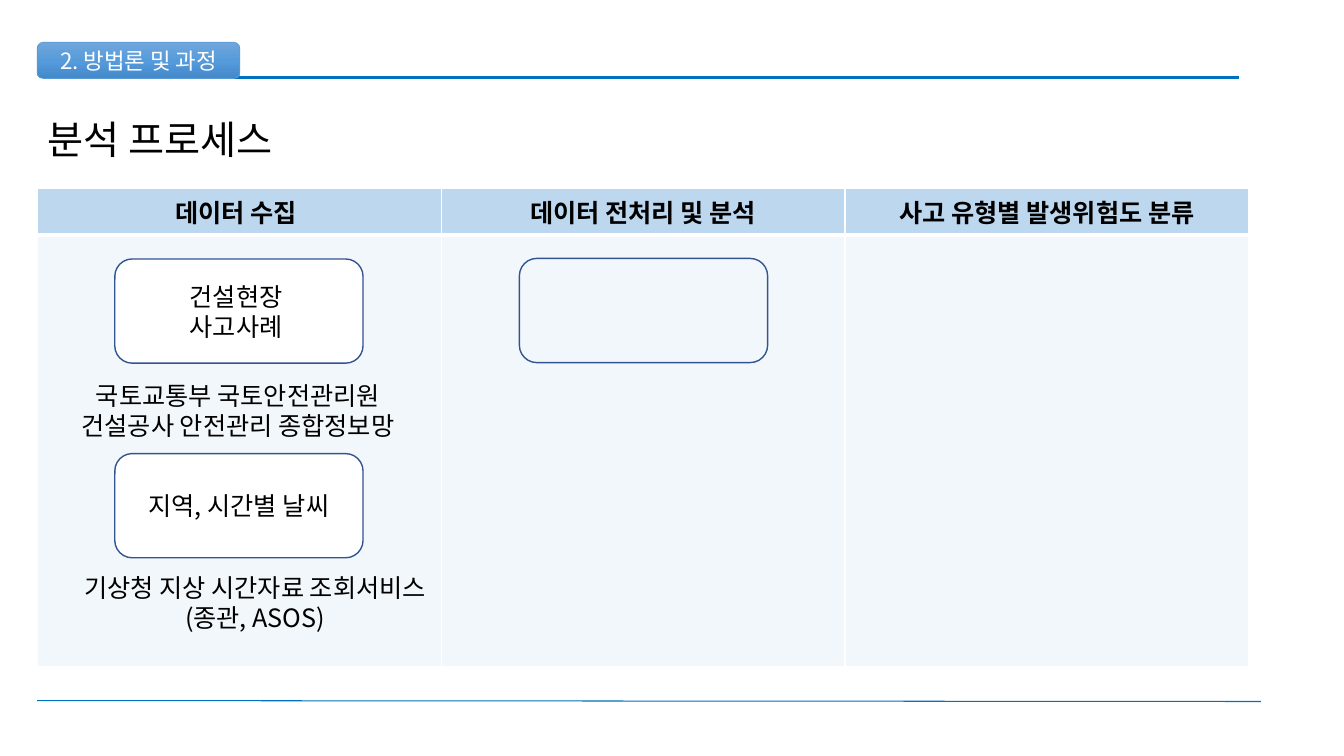
"""Build the analysis process slide with its three-stage table."""
import copy
import dataclasses

import lxml.etree
import pptx
import pptx.dml.color
import pptx.enum.shapes
import pptx.enum.text
import pptx.oxml
import pptx.oxml.ns
import pptx.util

Pt = pptx.util.Pt
ALIGN = pptx.enum.text.PP_ALIGN
ANCHOR = pptx.enum.text.MSO_ANCHOR
SHAPE = pptx.enum.shapes.MSO_SHAPE


@dataclasses.dataclass(frozen=True)
class Theme:
    font: str = "Noto Sans CJK KR"
    ink: str = "000000"
    white: str = "FFFFFF"
    rule: str = "0070C0"
    outline: str = "325491"
    tag_line: str = "5B9BD5"
    tag_gradient: tuple[str, ...] = ("71A6DB", "559BDB", "448ACA")
    header: str = "BDD7EE"
    body: str = "DEEBF7"
    body_alpha: int = 39
    tag_size: float = 16
    title_size: float = 28
    text_size: float = 18


@dataclasses.dataclass(frozen=True)
class Area:
    left: float
    top: float
    width: float
    height: float

    def lengths(self) -> tuple:
        return Pt(self.left), Pt(self.top), Pt(self.width), Pt(self.height)


@dataclasses.dataclass(frozen=True)
class Rule:
    start: tuple[float, float]
    end: tuple[float, float]
    weight: float


@dataclasses.dataclass(frozen=True)
class Card:
    area: Area
    lines: tuple[str, ...]
    fill: str | None


@dataclasses.dataclass(frozen=True)
class Caption:
    area: Area
    lines: tuple[str, ...]


THEME = Theme()
MARGIN = 26.6
CARD_WIDTH, CARD_HEIGHT = 177.3, 74.4
TITLE = Area(MARGIN, 78.5, 177, 41.2)
TAG = Area(MARGIN, 30.2, 144.7, 25.9)
TABLE = Area(MARGIN, 134.8, 865.5, 338.4)
HEADER_HEIGHT = 30.2
RULES = (
    Rule((31.7, 55.4), (885, 55.4), 1.5),
    Rule((MARGIN, 500.4), (900.7, 501.1), 0.75),
)
STAGES = ("데이터 수집 ", "데이터 전처리 및 분석", "사고 유형별 발생위험도 분류")
CARDS = (
    Card(Area(82, 185, CARD_WIDTH, CARD_HEIGHT), ("건설현장 ", "사고사례 "), THEME.white),
    Card(Area(82, 324, CARD_WIDTH, CARD_HEIGHT), ("지역, 시간별 날씨",), THEME.white),
    Card(Area(371, 184.6, CARD_WIDTH, CARD_HEIGHT), (), None),
)
CAPTIONS = (
    Caption(Area(38.2, 405.4, 288, 51), ("기상청 지상 시간자료 조회서비스", "(종관, ASOS)")),
    Caption(Area(38.2, 267.8, 263.5, 51), ("국토교통부 국토안전관리원", "건설공사 안전관리 종합정보망")),
)


def rgb(value: str) -> pptx.dml.color.RGBColor:
    return pptx.dml.color.RGBColor.from_string(value)


def write(frame, lines: tuple[str, ...], *, size: float = THEME.text_size,
          color: str = THEME.ink, bold: bool = False, align=ALIGN.CENTER,
          anchor=ANCHOR.TOP, wrap: bool = True) -> None:
    frame.word_wrap = wrap
    frame.vertical_anchor = anchor
    for index, line in enumerate(lines):
        para = frame.add_paragraph() if index else frame.paragraphs[0]
        para.alignment = align
        para.line_spacing = 1.0
        span = para.add_run()
        span.text = line
        span.font.name = THEME.font
        span.font.size = Pt(size)
        span.font.bold = bold
        span.font.color.rgb = rgb(color)
        east_asian = pptx.oxml.ns.qn("a:ea")
        span.font._element.find(pptx.oxml.ns.qn("a:latin")).addnext(
            lxml.etree.Element(east_asian, typeface=THEME.font))


def add_rule(slide, rule: Rule) -> None:
    line = slide.shapes.add_connector(
        pptx.enum.shapes.MSO_CONNECTOR.STRAIGHT,
        *(Pt(value) for value in rule.start + rule.end))
    line.line.color.rgb = rgb(THEME.rule)
    line.line.width = Pt(rule.weight)
    lxml.etree.SubElement(line._element.spPr, pptx.oxml.ns.qn("a:effectLst"))


def add_box(slide, area: Area, outline: str, weight: float):
    box = slide.shapes.add_shape(SHAPE.ROUNDED_RECTANGLE, *area.lengths())
    box.shadow.inherit = False
    box.line.color.rgb = rgb(outline)
    box.line.width = Pt(weight)
    return box


def add_tag(slide) -> None:
    box = add_box(slide, TAG, THEME.tag_line, 0.5)
    box.fill.gradient()
    box.fill.gradient_angle = 270
    first = box.fill.gradient_stops[0]._gs
    first.addnext(copy.deepcopy(first))
    for index, stop in enumerate(box.fill.gradient_stops):
        stop.position = index / 2
        stop.color.rgb = rgb(THEME.tag_gradient[index])
    write(box.text_frame, ("2. 방법론 및 과정",), size=THEME.tag_size,
          color=THEME.white, anchor=ANCHOR.MIDDLE)


def add_card(slide, card: Card) -> None:
    box = add_box(slide, card.area, THEME.outline, 1)
    if card.fill:
        box.fill.solid()
        box.fill.fore_color.rgb = rgb(card.fill)
    else:
        box.fill.background()
    write(box.text_frame, card.lines, anchor=ANCHOR.MIDDLE)


def add_caption(slide, caption: Caption) -> None:
    box = slide.shapes.add_textbox(*caption.area.lengths())
    write(box.text_frame, caption.lines, wrap=False)


def format_cell(cell, fill: str, alpha: int, top: float, bottom: float) -> None:
    cell.fill.solid()
    cell.fill.fore_color.rgb = rgb(fill)
    properties = cell._tc.get_or_add_tcPr()
    color = properties.find(".//" + pptx.oxml.ns.qn("a:srgbClr"))
    if alpha < 100:
        lxml.etree.SubElement(color, pptx.oxml.ns.qn("a:alpha"), val=str(alpha * 1000))
    weights = {"lnL": 1, "lnR": 1, "lnT": top, "lnB": bottom}
    for index, (side, weight) in enumerate(weights.items()):
        properties.insert(index, pptx.oxml.parse_xml(
            f'<a:{side} {pptx.oxml.ns.nsdecls("a")} w="{Pt(weight)}"><a:solidFill>'
            f'<a:srgbClr val="{THEME.white}"/></a:solidFill></a:{side}>'))


def add_stage_table(slide) -> None:
    table = slide.shapes.add_table(2, len(STAGES), *TABLE.lengths()).table
    table.horz_banding = False
    table.rows[0].height = Pt(HEADER_HEIGHT)
    table.rows[1].height = Pt(TABLE.height - HEADER_HEIGHT)
    for column, stage in enumerate(STAGES):
        table.columns[column].width = Pt(TABLE.width / len(STAGES))
        header, body = table.cell(0, column), table.cell(1, column)
        write(header.text_frame, (stage,), bold=True)
        format_cell(header, THEME.header, 100, 1, 3)
        format_cell(body, THEME.body, THEME.body_alpha, 3, 1)


def main() -> None:
    deck = pptx.Presentation()
    deck.slide_width, deck.slide_height = Pt(960), Pt(540)
    page = deck.slides.add_slide(deck.slide_layouts.get_by_name("Title Only"))
    title = page.shapes.title
    title.left, title.top, title.width, title.height = TITLE.lengths()
    write(title.text_frame, ("분석 프로세스",), size=THEME.title_size,
          align=ALIGN.LEFT, wrap=False)
    title.text_frame.auto_size = pptx.enum.text.MSO_AUTO_SIZE.NONE
    for rule in RULES:
        add_rule(page, rule)
    add_tag(page)
    add_stage_table(page)
    for card in CARDS:
        add_card(page, card)
    for caption in CAPTIONS:
        add_caption(page, caption)
    deck.save("out.pptx")


if __name__ == "__main__":
    main()
